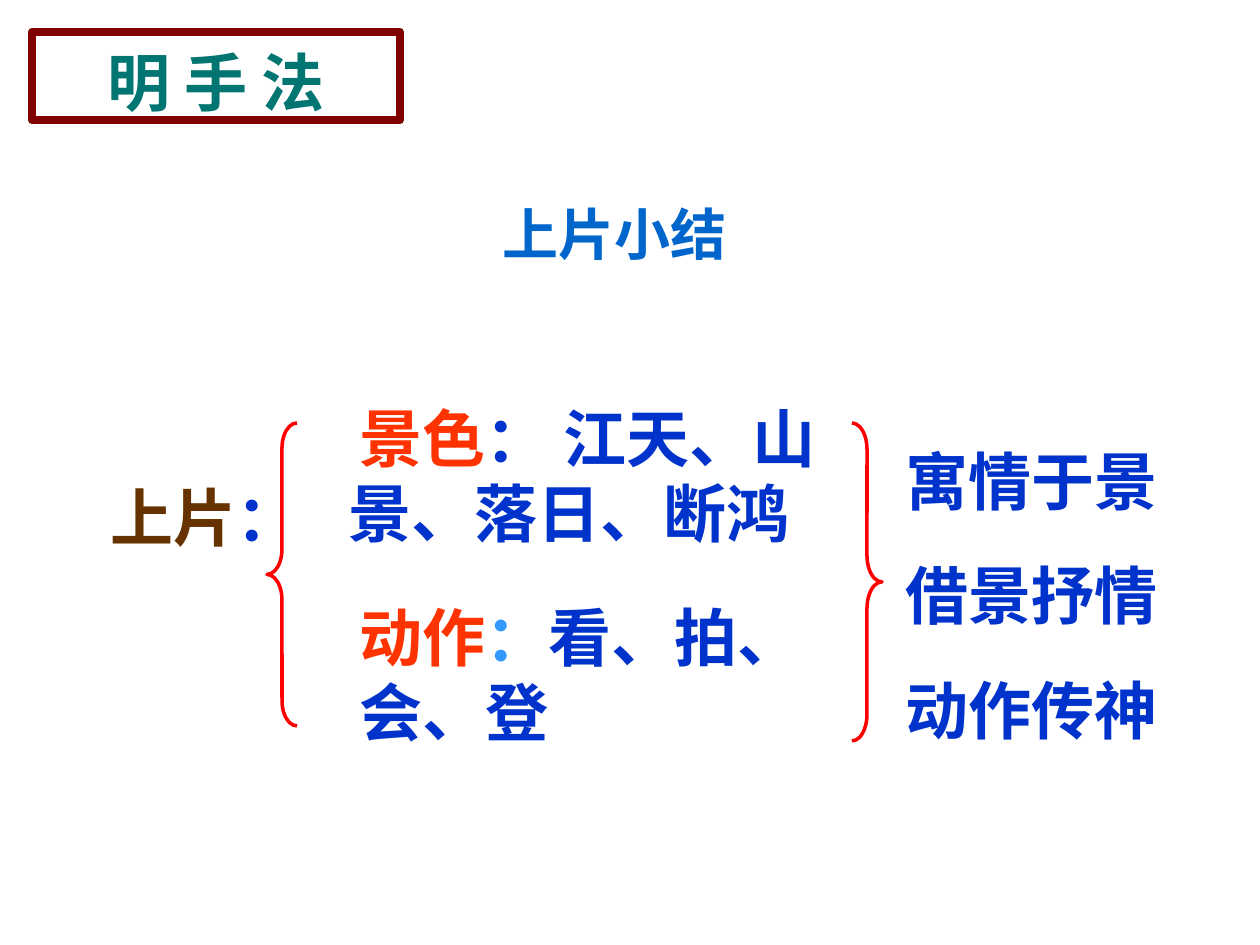
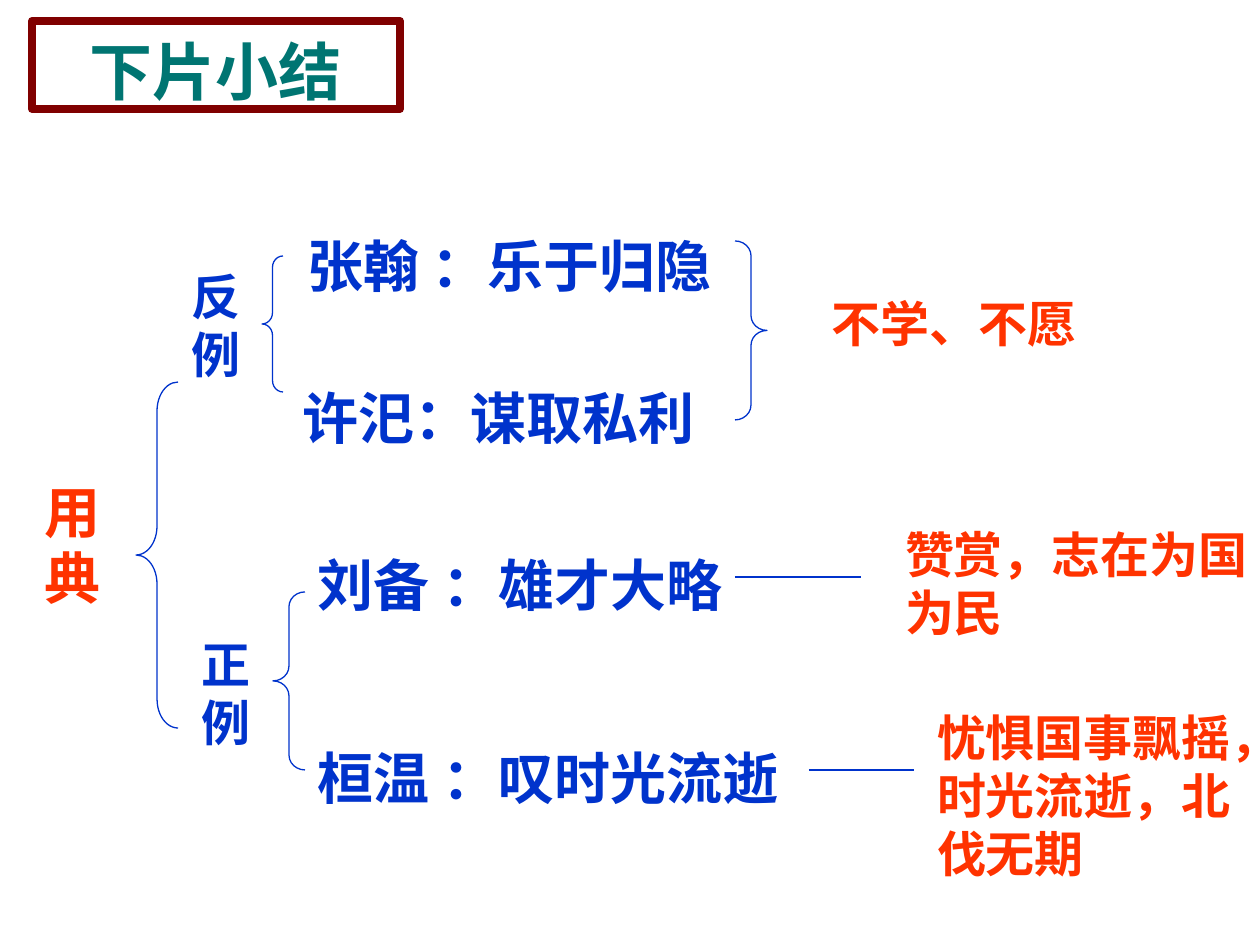
from dataclasses import dataclass

from lxml import etree
from pptx import Presentation
from pptx import util as u
from pptx.dml.color import RGBColor
from pptx.enum import shapes, text
from pptx.oxml.ns import qn

EMU_PER_PX = 914400 / 126
PX_PER_POINT = 126 / 72


@dataclass(frozen=True)
class Theme:
    frame: str = "800000"
    title: str = "007572"
    subtitle: str = "0066CC"
    brown: str = "663300"
    blue: str = "0033CC"
    sky: str = "3399FF"
    orange: str = "FF3300"
    red: str = "FF0000"
    large: int = 36
    medium: int = 32
    small: int = 28
    latin: str = "Arial"
    serif: str = "Times New Roman"
    east_asian: str = "Noto Sans CJK SC"
    line_height: float = 1.19
    paragraph_gap: float = 22.5


THEME = Theme()

# Boxes are (left, top, width, height). A paragraph is a list of (text, colour) runs.
SLIDES = [
    {
        "title": ("明 手 法", (32, 32, 368, 88)),
        "texts": [
            ([[("上片", THEME.brown), ("：", THEME.blue)]], (98, 467, 189, 139),
             {"size": THEME.large, "font": THEME.serif}),
            ([[("景色", THEME.orange), ("： 江天、山景、落日、断鸿", THEME.blue)]],
             (336, 388, 517, 164), {"size": THEME.large, "indent": 11}),
            ([[("动作", THEME.orange), ("：", THEME.sky), ("看、拍、会、登", THEME.blue)]],
             (347, 587, 507, 164), {"size": THEME.large}),
            (["寓情于景", "借景抒情", "动作传神"], (892, 431, 297, 319),
             {"size": THEME.large}),
            (["上片小结"], (431, 189, 367, 100),
             {"color": THEME.subtitle, "align": text.PP_ALIGN.CENTER}),
        ],
        "braces": [("left", (267, 423, 30, 303)), ("right", (852, 423, 30, 318))],
        "brace_line": (THEME.red, 2),
        "links": [],
    },
    {
        "title": ("下片小结", (32, 21, 368, 88)),
        "texts": [
            (["张翰 ：乐于归隐"], (294, 220, 546, 105), {}),
            (["许汜：谋取私利"], (289, 372, 446, 81), {}),
            (["刘备 ：雄才大略"], (305, 539, 472, 81), {}),
            (["桓温 ：叹时光流逝"], (305, 732, 533, 81), {}),
            (["不学、不愿"], (819, 283, 357, 72),
             {"size": THEME.small, "color": THEME.orange}),
            (["赞赏，志在为国为民"], (892, 514, 410, 131),
             {"size": THEME.small, "color": THEME.orange}),
            (["忧惧国事飘摇，时光流逝，北伐无期"], (924, 697, 336, 189),
             {"size": THEME.small, "color": THEME.orange}),
            (["反例"], (179, 256, 73, 131), {"size": THEME.small}),
            (["正例"], (189, 624, 63, 131), {"size": THEME.small}),
            (["用典"], (32, 466, 94, 147), {"color": THEME.orange}),
        ],
        "braces": [
            ("left", (262, 256, 21, 136)),
            ("left", (273, 592, 32, 178)),
            ("left", (136, 382, 42, 346)),
            ("right", (735, 241, 32, 179)),
        ],
        "brace_line": (THEME.blue, 0.75),
        "links": [(735, 861, 577), (809, 914, 770)],
    },
]


def px(*lengths):
    return [u.Emu(round(length * EMU_PER_PX)) for length in lengths]


def write(shape, paragraphs, size=THEME.medium, color=THEME.blue, font=THEME.latin,
          align=text.PP_ALIGN.LEFT, indent=0):
    """Fill a shape with bold paragraphs, each a string or a list of coloured runs."""
    frame = shape.text_frame
    frame.word_wrap = True
    frame.auto_size = text.MSO_AUTO_SIZE.NONE
    frame.vertical_anchor = text.MSO_ANCHOR.TOP
    # A tenth of the type size makes up for the fixed line height.
    frame.margin_top, = px(6 + size * PX_PER_POINT / 10)
    frame.margin_left, frame.margin_right, frame.margin_bottom = px(13, 13, 6)
    for index, content in enumerate(paragraphs):
        paragraph = frame.add_paragraph() if index else frame.paragraphs[0]
        paragraph.alignment = align
        paragraph.line_spacing = u.Pt(size * THEME.line_height)
        paragraph.space_before = u.Pt(THEME.paragraph_gap if index else 0)
        if indent:
            paragraph._p.get_or_add_pPr().set("indent", str(px(indent)[0]))
        runs = [(content, color)] if isinstance(content, str) else content
        for words, run_color in runs:
            run = paragraph.add_run()
            run.text = words
            run.font.size = u.Pt(size)
            run.font.bold = True
            run.font.name = font
            run.font.color.rgb = RGBColor.from_string(run_color)
            east_asian = etree.Element(qn("a:ea"), typeface=THEME.east_asian)
            run._r.rPr.find(qn("a:latin")).addnext(east_asian)


def set_line(shape, color, width):
    shape.line.color.rgb = RGBColor.from_string(color)
    shape.line.width = u.Pt(width)


def add_title(slide, words, box):
    title = slide.shapes.title
    title.left, title.top, title.width, title.height = px(*box)
    set_line(title, THEME.frame, 4.5)
    write(title, [words], size=THEME.large, color=THEME.title,
          align=text.PP_ALIGN.CENTER)


def add_brace(slide, side, box, line):
    kind = {"left": shapes.MSO_SHAPE.LEFT_BRACE,
            "right": shapes.MSO_SHAPE.RIGHT_BRACE}[side]
    brace = slide.shapes.add_shape(kind, *px(*box))
    brace.shadow.inherit = False
    brace.fill.background()
    set_line(brace, *line)
    width, height = box[2:]
    brace.adjustments[0] = height / 12 / width  # each curve takes a twelfth of the height


def add_link(slide, start, end, y):
    link = slide.shapes.add_connector(shapes.MSO_CONNECTOR.STRAIGHT, *px(start, y, end, y))
    set_line(link, THEME.blue, 0.75)
    etree.SubElement(link._element.spPr, qn("a:effectLst"))


def main():
    presentation = Presentation()
    presentation.slide_width, presentation.slide_height = px(1260, 945)
    title_only = presentation.slide_layouts[5]
    for content in SLIDES:
        slide = presentation.slides.add_slide(title_only)
        add_title(slide, *content["title"])
        for paragraphs, box, style in content["texts"]:
            write(slide.shapes.add_textbox(*px(*box)), paragraphs, **style)
        for side, box in content["braces"]:
            add_brace(slide, side, box, content["brace_line"])
        for link in content["links"]:
            add_link(slide, *link)
    presentation.save("out.pptx")


if __name__ == "__main__":
    main()
